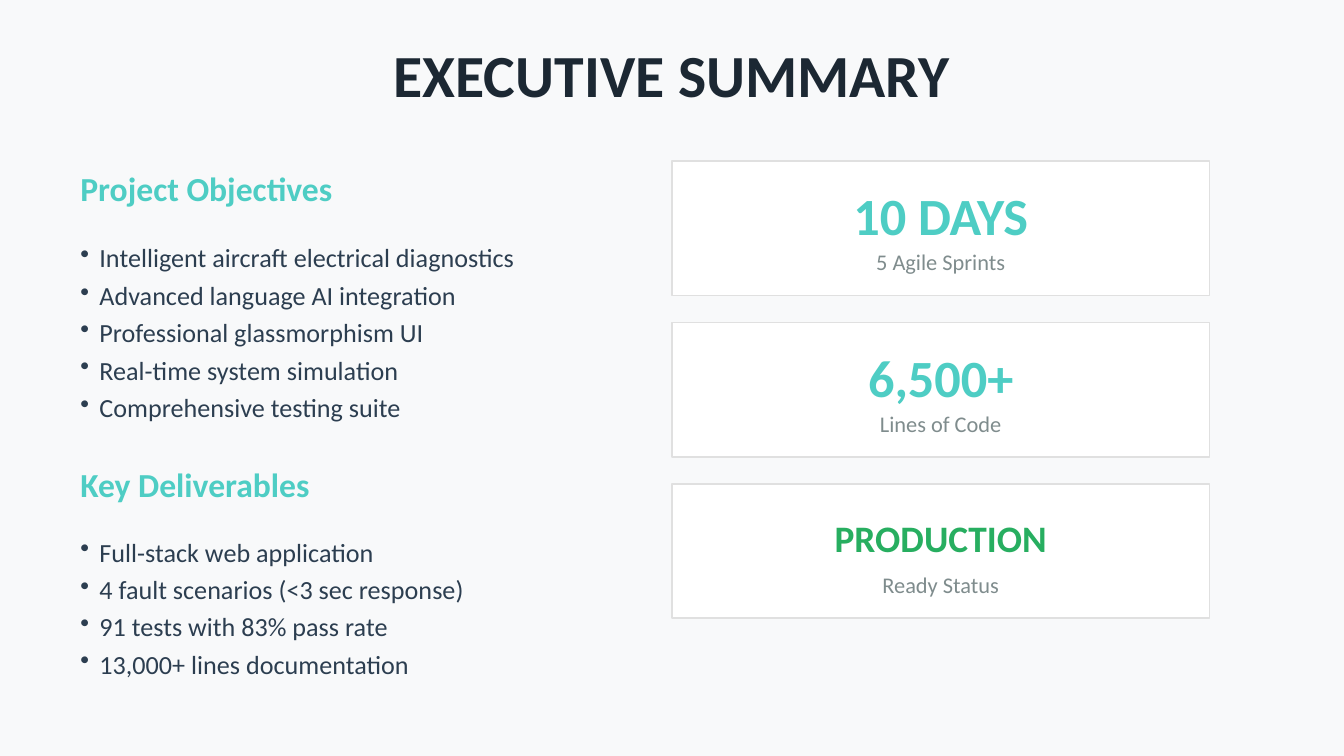
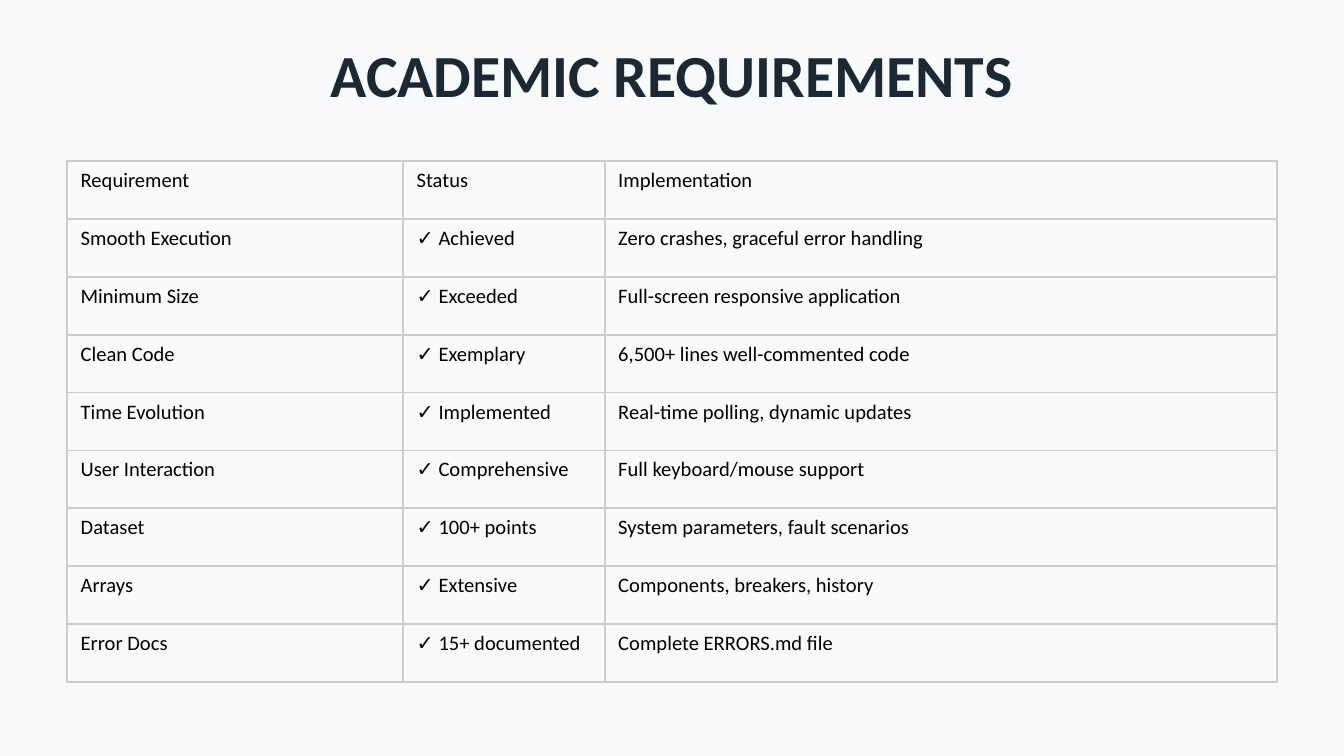
import pptx
import pptx.util
import pptx.dml.color
import pptx.enum.shapes
import pptx.enum.text
from lxml import etree

Pt = pptx.util.Pt
Align = pptx.enum.text.PP_ALIGN
Anchor = pptx.enum.text.MSO_ANCHOR

HUES = {
    "back": "F8F9FA", "title": "1C2833", "teal": "4ECDC4", "body": "2C3E50",
    "card": "FFFFFF", "edge": "E0E0E0", "grey": "7F8C8D", "green": "27AE60",
    "grid": "CCCCCC", "black": "000000",
}
FONT = "Calibri"

LISTS = [
    ("Project Objectives", 86.4, 108, [
        "Intelligent aircraft electrical diagnostics",
        "Advanced language AI integration",
        "Professional glassmorphism UI",
        "Real-time system simulation",
        "Comprehensive testing suite",
    ]),
    ("Key Deliverables", 244.8, 86.4, [
        "Full-stack web application",
        "4 fault scenarios (<3 sec response)",
        "91 tests with 83% pass rate",
        "13,000+ lines documentation",
    ]),
]
CARDS = [
    ("10 DAYS", "5 Agile Sprints", 28, "teal"),
    ("6,500+", "Lines of Code", 28, "teal"),
    ("PRODUCTION", "Ready Status", 20, "green"),
]
ROWS = [
    ("Requirement", "Status", "Implementation"),
    ("Smooth Execution", "✓ Achieved", "Zero crashes, graceful error handling"),
    ("Minimum Size", "✓ Exceeded", "Full-screen responsive application"),
    ("Clean Code", "✓ Exemplary", "6,500+ lines well-commented code"),
    ("Time Evolution", "✓ Implemented", "Real-time polling, dynamic updates"),
    ("User Interaction", "✓ Comprehensive", "Full keyboard/mouse support"),
    ("Dataset", "✓ 100+ points", "System parameters, fault scenarios"),
    ("Arrays", "✓ Extensive", "Components, breakers, history"),
    ("Error Docs", "✓ 15+ documented", "Complete ERRORS.md file"),
]
COLS = (180, 108, 360)
LEFT, TOP, WIDE = 36, 86.4, 648
HALF, TALL, STEP, ROW = 288, 72, 86.4, 31


def paint(hue):
    return pptx.dml.color.RGBColor.from_string(HUES[hue])


def add(node, tag, **attrs):
    return etree.SubElement(node, pptx.oxml.ns.qn(tag), **attrs)


def write(frame, text, size=14, hue="body", bold=False, align=Align.LEFT,
          anchor=Anchor.MIDDLE, lead=None, bullet=False):
    frame.word_wrap = True
    frame.vertical_anchor = anchor
    lines = [text] if isinstance(text, str) else text
    for i, line in enumerate(lines):
        para = frame.paragraphs[0] if i == 0 else frame.add_paragraph()
        para.alignment = align
        if lead:
            para.line_spacing = Pt(lead)
        if bullet:
            props = para._p.get_or_add_pPr()
            props.set("marL", str(Pt(10.2)))
            props.set("indent", str(-Pt(10.2)))
            add(props, "a:buChar", char="•")
        run = para.add_run()
        run.text = line
        font = run.font
        font.name, font.size, font.bold = FONT, Pt(size), bold
        font.color.rgb = paint(hue)


def label(slide, text, x, y, w, h, **style):
    box = slide.shapes.add_textbox(Pt(x), Pt(y), Pt(w), Pt(h))
    write(box.text_frame, text, **style)


def start(deck, text):
    slide = deck.slides.add_slide(deck.slide_layouts[5])
    title = slide.shapes.title
    title.left, title.top = Pt(LEFT), Pt(21.6)
    title.width, title.height = Pt(WIDE), Pt(36)
    title.text_frame.auto_size = pptx.enum.text.MSO_AUTO_SIZE.NONE
    write(title.text_frame, text, size=32, hue="title", bold=True,
          align=Align.CENTER)
    return slide


def card(slide, y, value, note, size, hue):
    x = 360
    box = slide.shapes.add_shape(pptx.enum.shapes.MSO_SHAPE.RECTANGLE,
                                 Pt(x), Pt(y), Pt(HALF), Pt(TALL))
    box.shadow.inherit = False
    box.fill.solid()
    box.fill.fore_color.rgb = paint("card")
    box.line.color.rgb = paint("edge")
    box.line.width = Pt(1)
    label(slide, value, x, y + 14.4, HALF, 28.8, size=size, hue=hue,
          bold=True, align=Align.CENTER)
    label(slide, note, x, y + 43.2, HALF, 21.6, size=12, hue="grey",
          align=Align.CENTER)


def border(cell):
    props = cell._tc.get_or_add_tcPr()
    for i, side in enumerate(("a:lnL", "a:lnR", "a:lnT", "a:lnB")):
        line = etree.Element(pptx.oxml.ns.qn(side), w=str(Pt(1)))
        add(add(line, "a:solidFill"), "a:srgbClr", val=HUES["grid"])
        props.insert(i, line)


def summary(deck):
    slide = start(deck, "EXECUTIVE SUMMARY")
    for head, y, tall, items in LISTS:
        label(slide, head, LEFT, y, HALF, 28.8, size=18, hue="teal", bold=True)
        label(slide, items, LEFT, y + 36, HALF, tall, lead=20, bullet=True)
    for i, facts in enumerate(CARDS):
        card(slide, TOP + i * STEP, *facts)


def needs(deck):
    slide = start(deck, "ACADEMIC REQUIREMENTS")
    table = slide.shapes.add_table(len(ROWS), len(COLS), Pt(LEFT), Pt(TOP),
                                   Pt(WIDE), Pt(ROW * len(ROWS))).table
    table.first_row = table.horz_banding = False
    for col, wide in zip(table.columns, COLS):
        col.width = Pt(wide)
    for row, texts in zip(table.rows, ROWS):
        row.height = Pt(ROW)
        for cell, text in zip(row.cells, texts):
            cell.fill.background()
            border(cell)
            write(cell.text_frame, text, size=11, hue="black",
                  anchor=Anchor.TOP)


def main():
    deck = pptx.Presentation()
    deck.slide_width, deck.slide_height = Pt(720), Pt(405)
    back = deck.slide_master.background.fill
    back.solid()
    back.fore_color.rgb = paint("back")
    summary(deck)
    needs(deck)
    deck.save("out.pptx")


if __name__ == "__main__":
    main()
